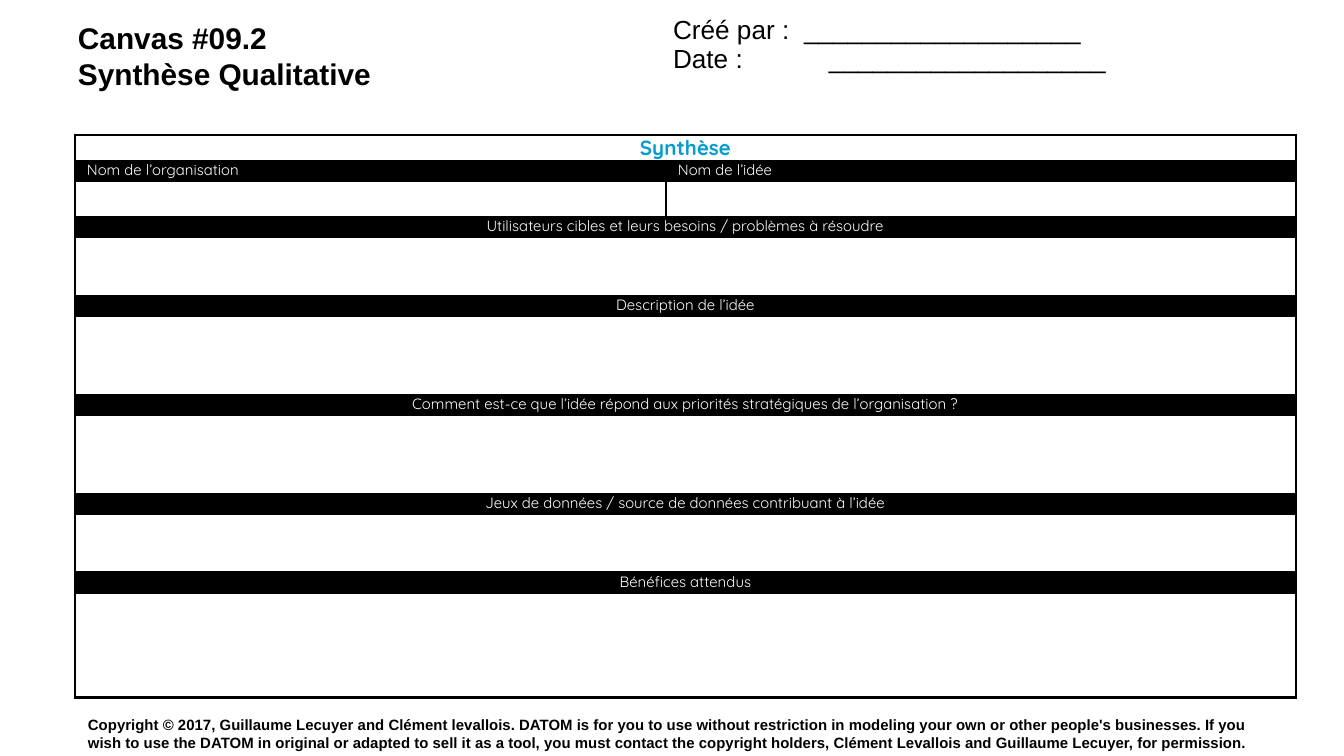
from lxml.etree import SubElement
from pptx import Presentation
from pptx.dml.color import RGBColor
from pptx.enum.text import MSO_ANCHOR, MSO_AUTO_SIZE, PP_ALIGN
from pptx.oxml.ns import qn
from pptx.util import Emu, Pt

BLACK = RGBColor(0, 0, 0)
WHITE = RGBColor(255, 255, 255)
BLUE = RGBColor(0x04, 0x9C, 0xCF)
SCALE = 914400 / 134.4


def px(size):
    return Emu(round(size * SCALE))


def style(para, size, color, bold=False, name="Arial"):
    font = para.font
    font.name = name
    font.size = Pt(size)
    font.bold = bold
    font.color.rgb = color


deck = Presentation()
deck.slide_width, deck.slide_height = px(1344), px(756)
slide = deck.slides.add_slide(deck.slide_layouts[5])

title = slide.shapes.title
title.left, title.top, title.width, title.height = px(65), px(7), px(571), px(90)
frame = title.text_frame
frame.text = "Canvas #09.2\nSynthèse Qualitative"
frame.auto_size = MSO_AUTO_SIZE.NONE
frame.vertical_anchor = MSO_ANCHOR.TOP
frame.margin_left = frame.margin_right = px(13)
frame.margin_top = frame.margin_bottom = px(13)
for para in frame.paragraphs:
    para.alignment = PP_ALIGN.LEFT
    style(para, 16, BLACK, True)

heads = [
    "Utilisateurs cibles et leurs besoins / problèmes à résoudre",
    "Description de l’idée",
    "Comment est-ce que l’idée répond aux priorités stratégiques de l’organisation ?",
    "Jeux de données / source de données contribuant à l’idée",
    "Bénéfices attendus",
]
rows = [("Synthèse", "", 26), ("Nom de l’organisation", "Nom de l’idée", 20), ("", "", 36)]
for head, tall in zip(heads, [59, 79, 79, 59, 105]):
    rows += [(head, "", 20), ("", "", tall)]

total = sum(row[2] for row in rows)
grid = slide.shapes.add_table(len(rows), 2, px(75), px(135), px(1221), px(total)).table
grid.first_row = grid.horz_banding = False
grid.columns[0].width, grid.columns[1].width = px(591), px(630)

for i, (left, right, tall) in enumerate(rows):
    grid.rows[i].height = px(tall)
    split = i in (1, 2)
    if not split:
        grid.cell(i, 0).merge(grid.cell(i, 1))
    for j, text in enumerate((left, right)):
        cell = grid.cell(i, j)
        cell.margin_left = cell.margin_right = px(12)
        cell.margin_top = cell.margin_bottom = 0
        props = cell._tc.get_or_add_tcPr()
        for side in ("lnL", "lnR", "lnT", "lnB"):
            line = SubElement(props, qn("a:" + side), w=str(Pt(1.5)))
            paint = SubElement(line, qn("a:solidFill"))
            SubElement(paint, qn("a:srgbClr"), val=str(BLACK))
        cell.fill.solid()
        cell.fill.fore_color.rgb = BLACK if i % 2 else WHITE
        cell.text = text
        para = cell.text_frame.paragraphs[0]
        para.alignment = PP_ALIGN.LEFT if split else PP_ALIGN.CENTER
        if i == 0:
            style(para, 11, BLUE, True, "Quicksand")
        else:
            style(para, 8, WHITE if i % 2 else BLACK, False, "Quicksand")

rule = "_" * 19
rights = (
    "Copyright © 2017, Guillaume Lecuyer and Clément levallois. DATOM is for you to use "
    "without restriction in modeling your own or other people's businesses. If you wish to use "
    "the DATOM in original or adapted to sell it as a tool, you must contact the copyright "
    "holders, Clément Levallois and Guillaume Lecuyer, for permission."
)
notes = [
    ("Créé par :\t" + rule, 660, 0, 637, 66, 14, 131),
    ("Date :\t" + rule, 660, 29, 597, 46, 14, 156),
    (rights, 75, 711, 1222, 45, 8, 0),
]
for text, x, y, wide, tall, size, stop in notes:
    frame = slide.shapes.add_textbox(px(x), px(y), px(wide), px(tall)).text_frame
    frame.word_wrap = True
    frame.margin_left = frame.margin_right = px(13)
    frame.margin_top = frame.margin_bottom = px(13)
    frame.vertical_anchor = MSO_ANCHOR.TOP if stop else MSO_ANCHOR.MIDDLE
    frame.text = text
    para = frame.paragraphs[0]
    if stop:
        tabs = SubElement(para._p.get_or_add_pPr(), qn("a:tabLst"))
        SubElement(tabs, qn("a:tab"), pos=str(px(stop)), algn="l")
    style(para, size, BLACK, not stop)

deck.save("out.pptx")
